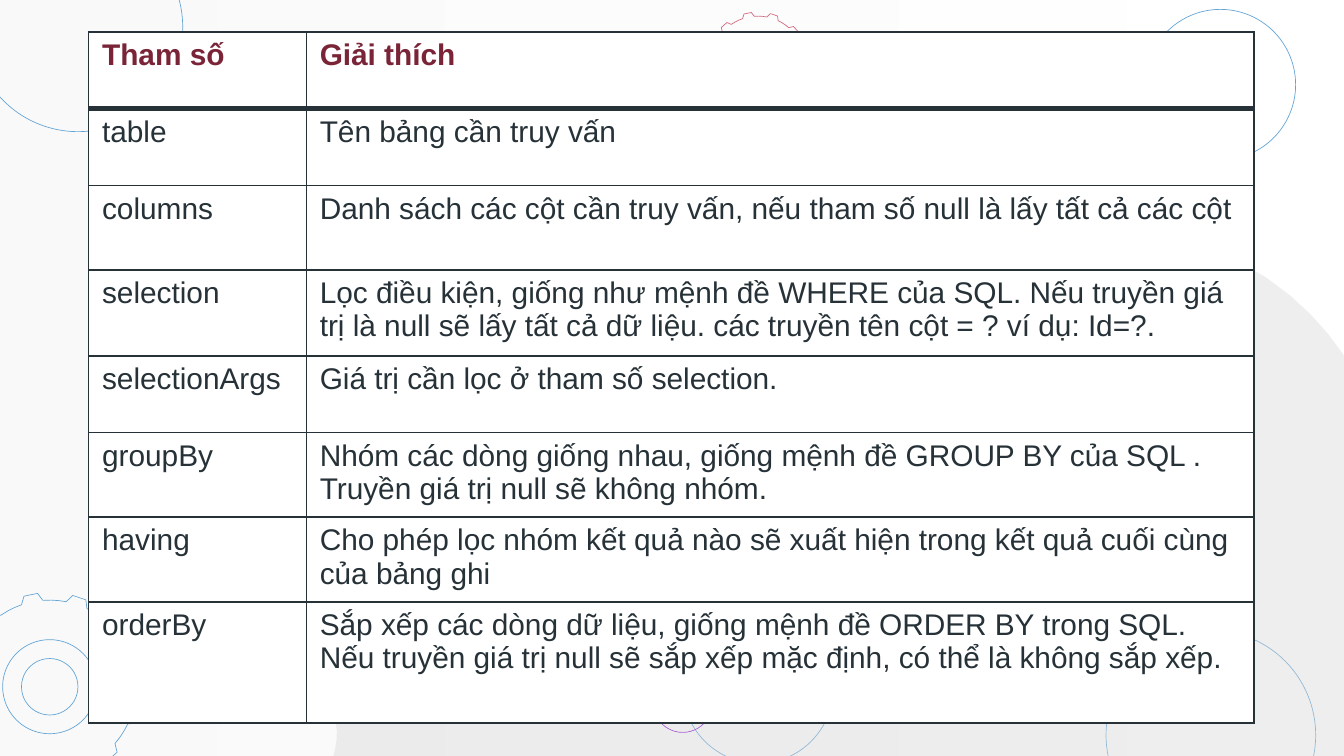
import math

import lxml.etree
import pptx
import pptx.dml.color
import pptx.enum.shapes
import pptx.oxml.ns
import pptx.util

Inches = pptx.util.Inches
Pt = pptx.util.Pt
qn = pptx.oxml.ns.qn

COLORS = {
    "white": "FFFFFF", "pale": "F3F3F3", "grey": "D6D7D7", "blue": "63A4D5",
    "purple": "860CD1", "pink": "D36980", "wine": "7A2437", "ink": "263238",
}

ROWS = [
    ("Tham số", "Giải thích"),
    ("table", "Tên bảng cần truy vấn"),
    ("columns", "Danh sách các cột cần truy vấn, nếu tham số null là lấy tất cả các cột"),
    ("selection", "Lọc điều kiện, giống như mệnh đề WHERE của SQL. Nếu truyền giá trị là null "
                  "sẽ lấy tất cả dữ liệu. các truyền tên cột = ? ví dụ: Id=?."),
    ("selectionArgs", "Giá trị cần lọc ở tham số selection."),
    ("groupBy", "Nhóm các dòng giống nhau, giống mệnh đề GROUP BY của SQL . "
                "Truyền giá trị null sẽ không nhóm."),
    ("having", "Cho phép lọc nhóm kết quả nào sẽ xuất hiện trong kết quả cuối cùng của bảng ghi"),
    ("orderBy", "Sắp xếp các dòng dữ liệu, giống mệnh đề ORDER BY trong SQL. Nếu truyền giá trị "
                "null sẽ sắp xếp mặc định, có thể là không sắp xếp."),
]
COL_WIDTHS = [1.62, 7.05]
ROW_HEIGHTS = [0.57, 0.57, 0.63, 0.64, 0.57, 0.63, 0.63, 0.9]
TABLE_LEFT, TABLE_TOP = 0.66, 0.24
HEADER_FONT = {"name": "Arial", "size": Pt(16), "bold": True}
BODY_FONT = {"name": "Arial", "size": Pt(16), "bold": False}

WASH_BOX = (-0.07, -0.07, 10.14, 5.77)
CIRCLES = [
    (5.64, 5.12, 0.56, "blue"),
    (9.01, 5.47, 0.78, "blue"),
    (0.58, 0.2, 0.78, "blue"),
    (5.08, 5.23, 0.22, "purple"),
    (9.08, 0.63, 0.56, "blue"),
    (0.37, 5.11, 0.35, "blue"),
    (0.37, 5.11, 0.21, "blue"),
]
GEARS = [(5.64, 0.47, 0.38, "pink"), (0.37, 5.11, 0.7, "blue")]
TOOTH = [(4.5, 0.92), (7.4, 1), (15.8, 1), (19, 0.92), (24, 0.92), (29, 0.92)]

BLOB_START = (8.03, 1.64)
BLOB_CURVES = [
    ((7.5, 1.64), (7.03, 1.81), (6.77, 2.11)),
    ((6.32, 2.62), (6.35, 3.52), (5.9, 3.52)),
    ((5.89, 3.52), (5.88, 3.52), (5.88, 3.52)),
    ((5.51, 3.5), (5.32, 3.12), (4.96, 3.12)),
    ((4.84, 3.12), (4.71, 3.16), (4.55, 3.26)),
    ((3.89, 3.68), (4.23, 4.25), (4.18, 4.61)),
    ((4.17, 4.7), (4.13, 4.74), (4.06, 4.74)),
    ((3.89, 4.74), (3.58, 4.54), (3.29, 4.54)),
    ((3.23, 4.54), (3.17, 4.55), (3.12, 4.56)),
    ((2.66, 4.71), (2.45, 5.13), (2.5, 5.38)),
    ((2.55, 5.63), (2.33, 5.94), (2.33, 5.94)),
    ((5, 5.94), (7.67, 5.94), (10.34, 5.94)),
    ((10.34, 5.94), (10.46, 4.33), (10.27, 3.25)),
    ((10.27, 3.25), (10.11, 2.41), (9.21, 1.94)),
    ((8.83, 1.73), (8.42, 1.64), (8.03, 1.64)),
]


def rgb(name):
    return pptx.dml.color.RGBColor.from_string(COLORS[name])


def set_alpha(shape, percent):
    for color in shape._element.spPr.iter(qn("a:srgbClr")):
        lxml.etree.SubElement(color, qn("a:alpha"), val=str(percent * 1000))


def outline(shape, color):
    shape.shadow.inherit = False
    shape.fill.background()
    shape.line.color.rgb = rgb(color)
    shape.line.width = Pt(0.36)


def add_polygon(s, points):
    pts = [(Inches(x), Inches(y)) for x, y in points]
    builder = s.shapes.build_freeform(*pts[0])
    builder.add_line_segments(pts[1:], close=True)
    return builder.convert_to_shape()


def gear_points(cx, cy, radius, teeth=12):
    for i in range(teeth):
        for offset, ratio in TOOTH:
            a = math.radians(offset + i * 360 / teeth)
            yield cx + radius * ratio * math.cos(a), cy - radius * ratio * math.sin(a)


def curve_points(start, curves, steps=12):
    points = [start]
    for curve in curves:
        knots = (points[-1], *curve)
        for t in (n / steps for n in range(1, steps + 1)):
            weights = ((1 - t) ** 3, 3 * t * (1 - t) ** 2, 3 * t * t * (1 - t), t ** 3)
            points.append(tuple(sum(w * k[d] for w, k in zip(weights, knots)) for d in (0, 1)))
    return points


def add_background(s):
    shapes = pptx.enum.shapes.MSO_SHAPE
    wash = s.shapes.add_shape(shapes.RECTANGLE, *(Inches(v) for v in WASH_BOX))
    wash.shadow.inherit = False
    wash.line.fill.background()
    wash.fill.gradient()
    wash.fill.gradient_angle = 180
    for stop, color in zip(wash.fill.gradient_stops, ("white", "pale")):
        stop.color.rgb = rgb(color)
    set_alpha(wash, 41)

    for cx, cy, r, color in CIRCLES:
        box = (Inches(v) for v in (cx - r, cy - r, 2 * r, 2 * r))
        outline(s.shapes.add_shape(shapes.OVAL, *box), color)
    for cx, cy, r, color in GEARS:
        outline(add_polygon(s, gear_points(cx, cy, r)), color)

    blob = add_polygon(s, curve_points(BLOB_START, BLOB_CURVES))
    blob.shadow.inherit = False
    blob.line.fill.background()
    blob.fill.solid()
    blob.fill.fore_color.rgb = rgb("grey")
    set_alpha(blob, 41)


def set_borders(cell, widths):
    for side, width in widths.items():
        ln = lxml.etree.SubElement(cell._tc.get_or_add_tcPr(), qn("a:ln" + side), w=str(Pt(width)))
        fill = lxml.etree.SubElement(ln, qn("a:solidFill"))
        lxml.etree.SubElement(fill, qn("a:srgbClr"), val=COLORS["ink"])


def add_parameter_table(s):
    table = s.shapes.add_table(
        len(ROWS), len(COL_WIDTHS), Inches(TABLE_LEFT), Inches(TABLE_TOP),
        Inches(sum(COL_WIDTHS)), Inches(sum(ROW_HEIGHTS))).table
    table.first_row = table.horz_banding = False
    for column, width in zip(table.columns, COL_WIDTHS):
        column.width = Inches(width)
    for i, (texts, height) in enumerate(zip(ROWS, ROW_HEIGHTS)):
        table.rows[i].height = Inches(height)
        for j, text in enumerate(texts):
            cell = table.cell(i, j)
            set_borders(cell, {"L": 1, "R": 1, "T": 3 if i == 1 else 1, "B": 3 if i == 0 else 1})
            cell.fill.solid()
            cell.fill.fore_color.rgb = rgb("white")
            r = cell.text_frame.paragraphs[0].add_run()
            r.text = text
            for key, value in (BODY_FONT if i else HEADER_FONT).items():
                setattr(r.font, key, value)
            r.font.color.rgb = rgb("ink" if i else "wine")


def main():
    prs = pptx.Presentation()
    prs.slide_width = Inches(10)
    prs.slide_height = prs.slide_width * 9 // 16
    s = prs.slides.add_slide(prs.slide_layouts[6])
    add_background(s)
    add_parameter_table(s)
    prs.save("out.pptx")


if __name__ == "__main__":
    main()
